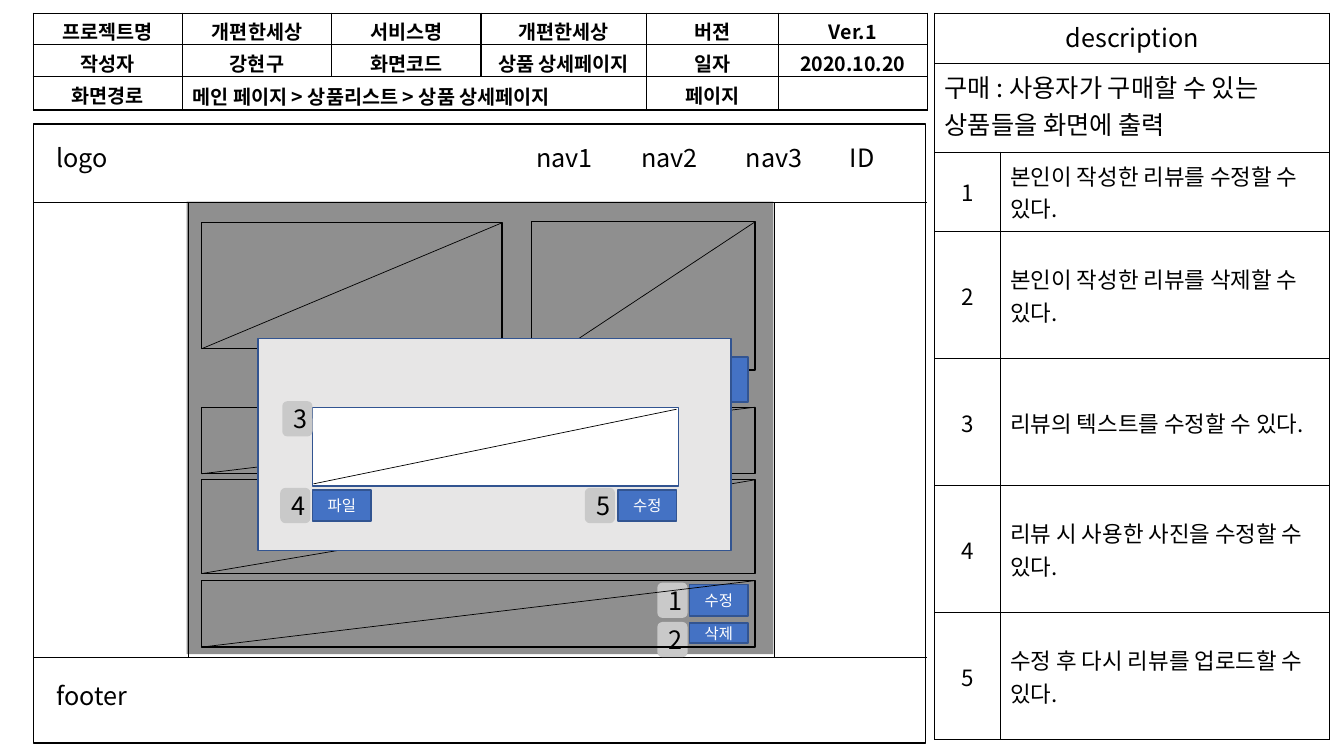
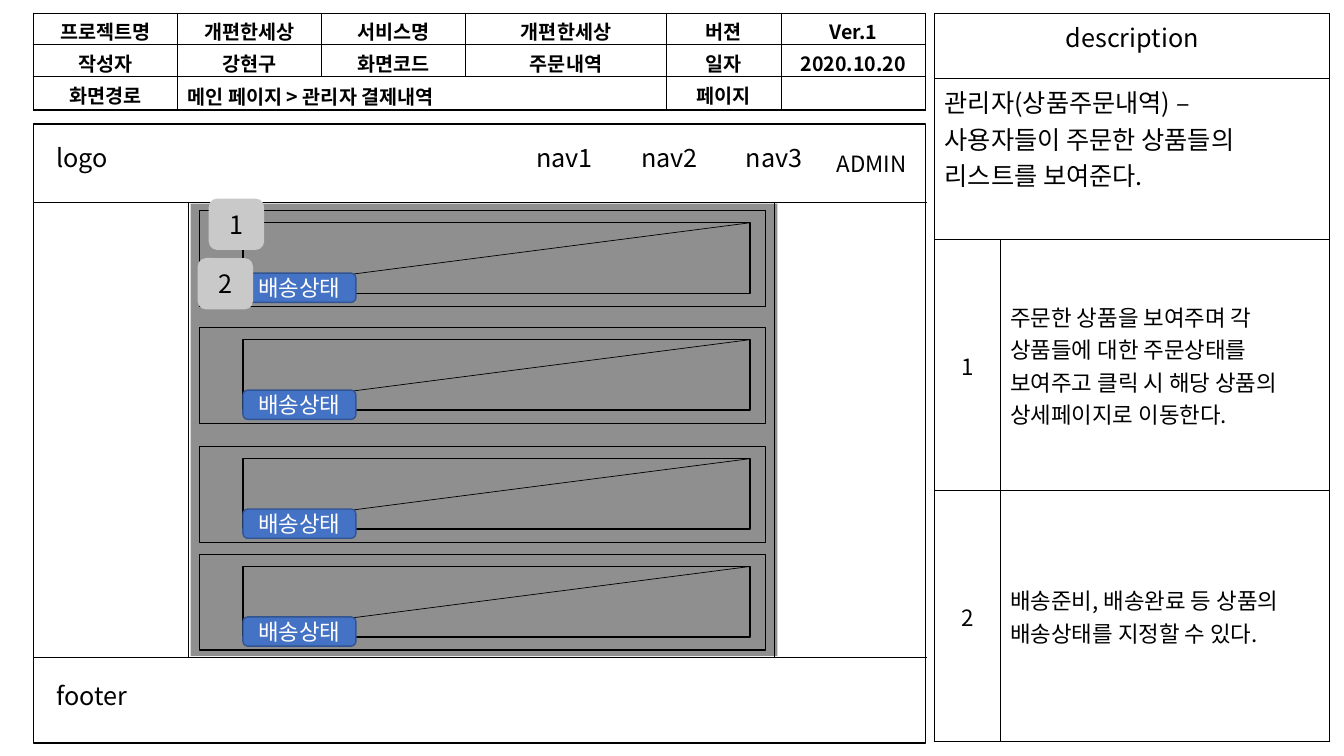
from lxml import etree
from pptx import Presentation
from pptx.dml.color import RGBColor
from pptx.enum.shapes import MSO_CONNECTOR, MSO_SHAPE
from pptx.enum.text import MSO_ANCHOR, MSO_AUTO_SIZE, PP_ALIGN
from pptx.oxml.ns import qn
from pptx.util import Inches, Pt

RECT, ROUND = MSO_SHAPE.RECTANGLE, MSO_SHAPE.ROUNDED_RECTANGLE
STRAIGHT = MSO_CONNECTOR.STRAIGHT
LEFT, CENTER = PP_ALIGN.LEFT, PP_ALIGN.CENTER
MIDDLE = MSO_ANCHOR.MIDDLE
FIT_SHAPE = MSO_AUTO_SIZE.SHAPE_TO_FIT_TEXT

FONT = "Noto Sans CJK KR"
COLORS = {"ink": "000000", "white": "FFFFFF", "button": "4472C4",
          "edge": "325491", "badge": "C9C9C9", "modal": "E7E6E6"}

# Page frame shared by both slides
FRAME_LEFT, FRAME_RIGHT = 0.33, 9.19
HEADER_Y, FOOTER_Y = 2.01, 6.52
BODY_LEFT, BODY_RIGHT = 1.87, 7.68
INFO_ROWS = [0.28, 0.28, 0.31]


def rgb(name):
    return RGBColor.from_string(COLORS[name])


# Text
def set_text(tf, text, size, color="ink", align=LEFT, bold=False):
    for i, line in enumerate(text.split("\n")):
        p = tf.add_paragraph() if i else tf.paragraphs[0]
        p.alignment = align
        p.font.size = Pt(size)
        p.font.bold = bold
        p.font.color.rgb = rgb(color)
        p.font.name = FONT
        props = p._p.pPr.find(qn("a:defRPr"))
        etree.SubElement(props, qn("a:ea")).set("typeface", FONT)
        if line:
            p.add_run().text = line
        else:
            end = etree.SubElement(p._p, qn("a:endParaRPr"))
            end.set("sz", str(size * 100))


def add_label(s, at, text, size=18):
    sp = s.shapes.add_textbox(*map(Inches, at))
    tf = sp.text_frame
    tf.word_wrap = True
    tf.auto_size = FIT_SHAPE
    set_text(tf, text, size)


# Shapes and lines
def add_box(s, at, fill=None, line=None, kind=RECT):
    sp = s.shapes.add_shape(kind, *map(Inches, at))
    sp.shadow.inherit = False
    if fill:
        sp.fill.solid()
        sp.fill.fore_color.rgb = rgb(fill)
    else:
        sp.fill.background()
    if line:
        sp.line.color.rgb = rgb(line)
        sp.line.width = Pt(1)
    else:
        sp.line.fill.background()
    return sp


def add_line(s, x1, y1, x2, y2):
    c = s.shapes.add_connector(STRAIGHT, *map(Inches, (x1, y1, x2, y2)))
    c.line.color.rgb = rgb("ink")
    c.line.width = Pt(0.5)
    etree.SubElement(c._element.spPr, qn("a:effectLst"))


def add_placeholder_box(s, at, drop=None):
    """Outlined content area with a diagonal falling by drop to the left."""
    x, y, w, h = at
    add_box(s, at, line="ink")
    add_line(s, x + w, y, x, y + (drop or h))


def add_button(s, at, text, size=11, kind=RECT):
    sp = add_box(s, at, "button", "edge", kind)
    set_text(sp.text_frame, text, size, "white", CENTER)


def add_badge(s, x, y, number, w=0.3, h=0.35):
    sp = add_box(s, (x, y, w, h), "badge", kind=ROUND)
    set_text(sp.text_frame, str(number), 18, align=CENTER)


def add_shade(s, x, y):
    sp = add_box(s, (x, y, 5.82, 4.49), "ink")
    color = sp._element.spPr.find(qn("a:solidFill"))[0]
    etree.SubElement(color, qn("a:alpha")).set("val", "44000")


# Tables
def add_grid(s, at, cols, rows):
    gf = s.shapes.add_table(len(rows), len(cols), *map(Inches, at))
    table = gf.table
    table.first_row = table.horz_banding = False
    for col, width in zip(table.columns, cols):
        col.width = Inches(width)
    for row, height in zip(table.rows, rows):
        row.height = Inches(height)
    gf.height = Inches(at[3])
    for cell in table.iter_cells():
        props = cell._tc.get_or_add_tcPr()
        for side in ("lnL", "lnR", "lnT", "lnB"):
            ln = etree.SubElement(props, qn("a:" + side), w=str(Pt(1)))
            fill = etree.SubElement(ln, qn("a:solidFill"))
            etree.SubElement(fill, qn("a:srgbClr"), val=COLORS["ink"])
        cell.fill.background()
    return table


def add_info_table(s, cols, screen, route):
    table = add_grid(s, (FRAME_LEFT, 0.13, 8.85, 0.96), cols, INFO_ROWS)
    table.cell(2, 1).merge(table.cell(2, 3))
    content = [
        ["프로젝트명", "개편한세상", "서비스명", "개편한세상", "버젼", "Ver.1"],
        ["작성자", "강현구", "화면코드", screen, "일자", "2020.10.20"],
        ["화면경로", route, "", "", "페이지", ""],
    ]
    for r, texts in enumerate(content):
        for c, text in enumerate(texts):
            cell = table.cell(r, c)
            is_route = (r, c) == (2, 1)
            cell.margin_top = cell.margin_bottom = Inches(0.05 if is_route else 0.04)
            set_text(cell.text_frame, text, 14, bold=True,
                     align=LEFT if is_route else CENTER)


def add_description(s, rows, summary, notes):
    table = add_grid(s, (9.27, 0.13, 3.92, 7.23), [0.65, 3.27], rows)
    for r, (text, align) in enumerate([("description", CENTER), (summary, LEFT)]):
        table.cell(r, 0).merge(table.cell(r, 1))
        set_text(table.cell(r, 0).text_frame, text, 18, align=align)
    for number, note in enumerate(notes, 1):
        for c, (text, align) in enumerate([(str(number), CENTER), (note, LEFT)]):
            cell = table.cell(number + 1, c)
            cell.vertical_anchor = MIDDLE
            set_text(cell.text_frame, text, 16, align=align)


# Shared page frame
def add_frame(s):
    add_box(s, (FRAME_LEFT, 1.23, 8.85, 6.14), line="ink")
    for y in (HEADER_Y, FOOTER_Y):
        add_line(s, FRAME_LEFT, y, FRAME_RIGHT, y)
    for x in (BODY_LEFT, BODY_RIGHT):
        add_line(s, x, HEADER_Y, x, FOOTER_Y)
    for i in range(3):
        add_label(s, (5.22 + 1.04 * i, 1.36, 0.82, 0.51), f"nav{i + 1}")
    add_label(s, (0.46, 1.36, 0.81, 0.52), "logo")
    add_label(s, (0.46, 6.7, 1.87, 0.51), "footer")


# Slides
def build_review_edit(s):
    add_shade(s, 1.85, 2)
    add_frame(s)
    add_label(s, (8.33, 1.36, 0.82, 0.51), "ID")
    add_info_table(s, [1.48, 1.48, 1.48, 1.64, 1.31, 1.48], "상품 상세페이지",
                   "메인 페이지 > 상품리스트 > 상품 상세페이지")
    add_description(s, [0.5, 0.88, 0.79] + [1.26] * 4,
                    "구매 : 사용자가 구매할 수 있는 상품들을 화면에 출력",
                    ["본인이 작성한 리뷰를 수정할 수 있다.",
                     "본인이 작성한 리뷰를 삭제할 수 있다.",
                     "리뷰의 텍스트를 수정할 수 있다.",
                     "리뷰 시 사용한 사진을 수정할 수 있다.",
                     "수정 후 다시 리뷰를 업로드할 수 있다."])
    # Product page behind the dialog
    for at in ((2, 2.21, 2.98, 1.25), (5.27, 2.2, 2.22, 1.47),
               (2, 4.04, 5.49, 0.66), (2, 4.76, 5.49, 0.93)):
        add_placeholder_box(s, at)
    add_box(s, (6.58, 3.54, 0.84, 0.45), "button", "edge")
    add_button(s, (6.84, 6.18, 0.58, 0.2), "삭제")
    add_button(s, (6.84, 5.8, 0.58, 0.31), "수정")
    add_badge(s, 6.52, 5.78, 1)
    add_badge(s, 6.52, 6.17, 2)
    add_placeholder_box(s, (2, 5.76, 5.49, 0.66))
    # Edit dialog
    add_box(s, (2.56, 3.36, 4.69, 2.1), "modal", "edge")
    add_box(s, (3.1, 4.04, 3.63, 0.78), "white", "edge")
    add_line(s, 6.71, 4.06, 3.11, 4.8)
    add_button(s, (6.13, 4.86, 0.58, 0.31), "수정")
    add_button(s, (3.1, 4.86, 0.58, 0.31), "파일")
    for number, (x, y) in enumerate([(2.8, 3.98), (2.78, 4.84), (5.8, 4.84)], 3):
        add_badge(s, x, y, number)


def build_order_list(s):
    add_shade(s, 1.89, 2.02)
    add_frame(s)
    add_label(s, (8.2, 1.44, 1.09, 0.37), "ADMIN", 16)
    add_info_table(s, [1.43, 1.43, 1.43, 1.99, 1.14, 1.43], "주문내역",
                   "메인 페이지 > 관리자 결제내역")
    add_description(s, [0.65, 1.6, 2.49, 2.49],
                    "관리자(상품주문내역) –\n사용자들이 주문한 상품들의 리스트를 보여준다.",
                    ["주문한 상품을 보여주며 각 상품들에 대한 주문상태를 보여주고 "
                     "클릭 시 해당 상품의 상세페이지로 이동한다.",
                     "배송준비, 배송완료 등 상품의 배송상태를 지정할 수 있다."])
    # Order cards
    for y in (2.09, 3.25, 4.43, 5.5):
        add_box(s, (1.98, y, 5.61, 0.95), line="ink")
        add_placeholder_box(s, (2.41, y + 0.12, 5.03, 0.7), drop=0.65)
        add_button(s, (2.41, y + 0.62, 1.12, 0.29), "배송상태", 16, ROUND)
    add_badge(s, 2.07, 1.97, 1, 0.55, 0.51)
    add_badge(s, 1.96, 2.56, 2, 0.55, 0.51)


def main():
    prs = Presentation()
    prs.slide_width, prs.slide_height = Inches(13.33), Inches(7.5)
    for build in (build_review_edit, build_order_list):
        build(prs.slides.add_slide(prs.slide_layouts[6]))
    prs.save("out.pptx")


if __name__ == "__main__":
    main()
